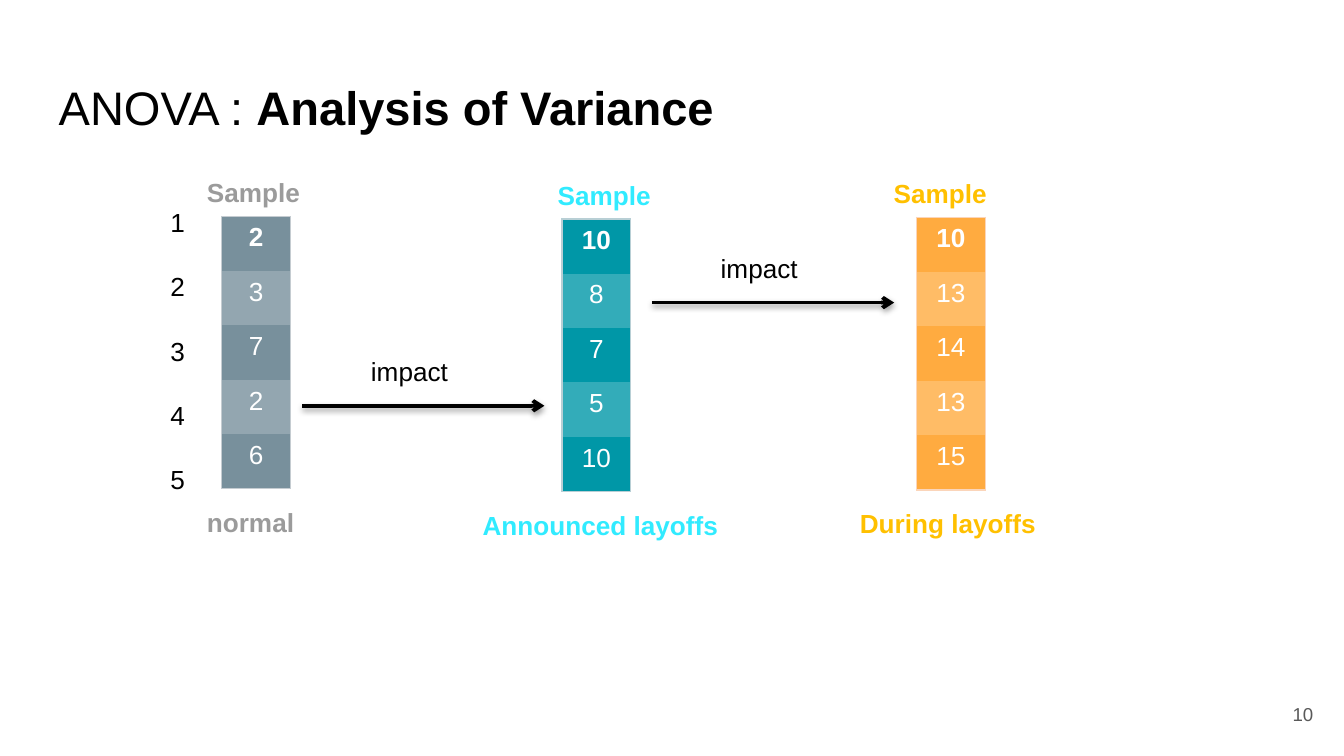
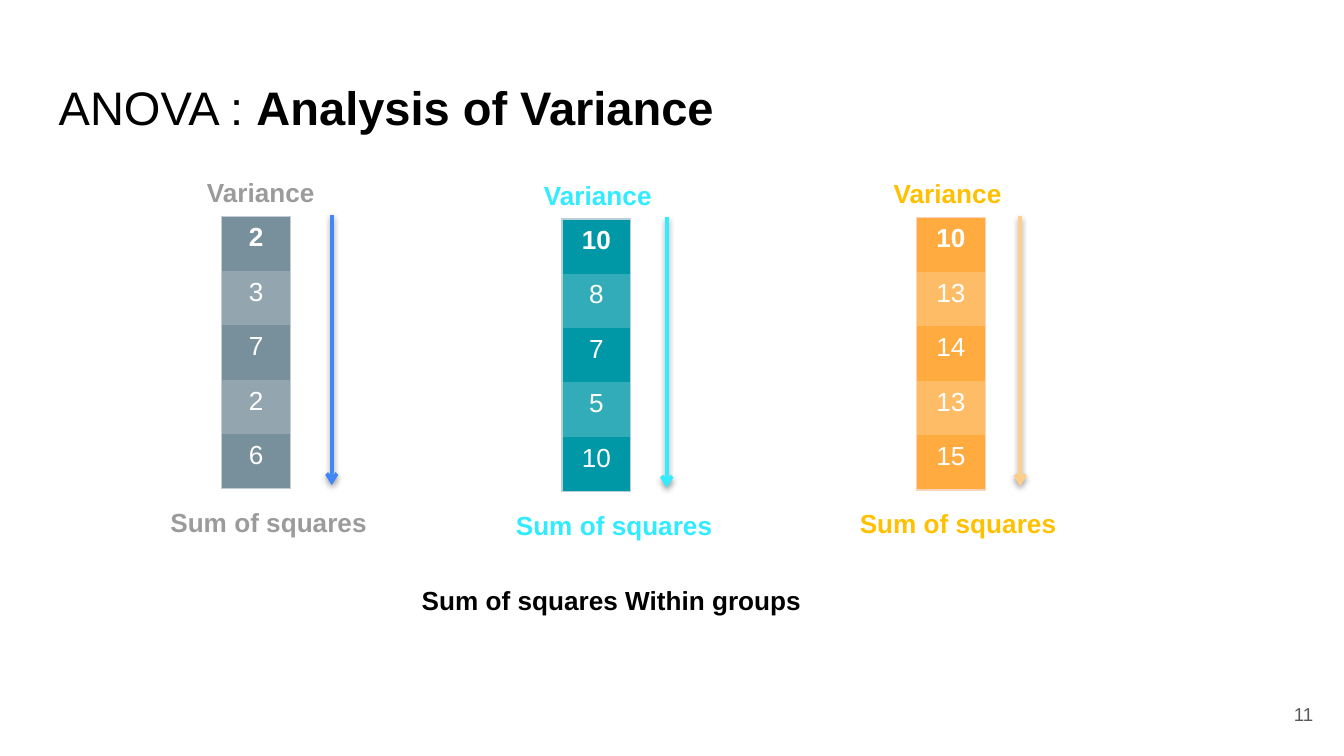
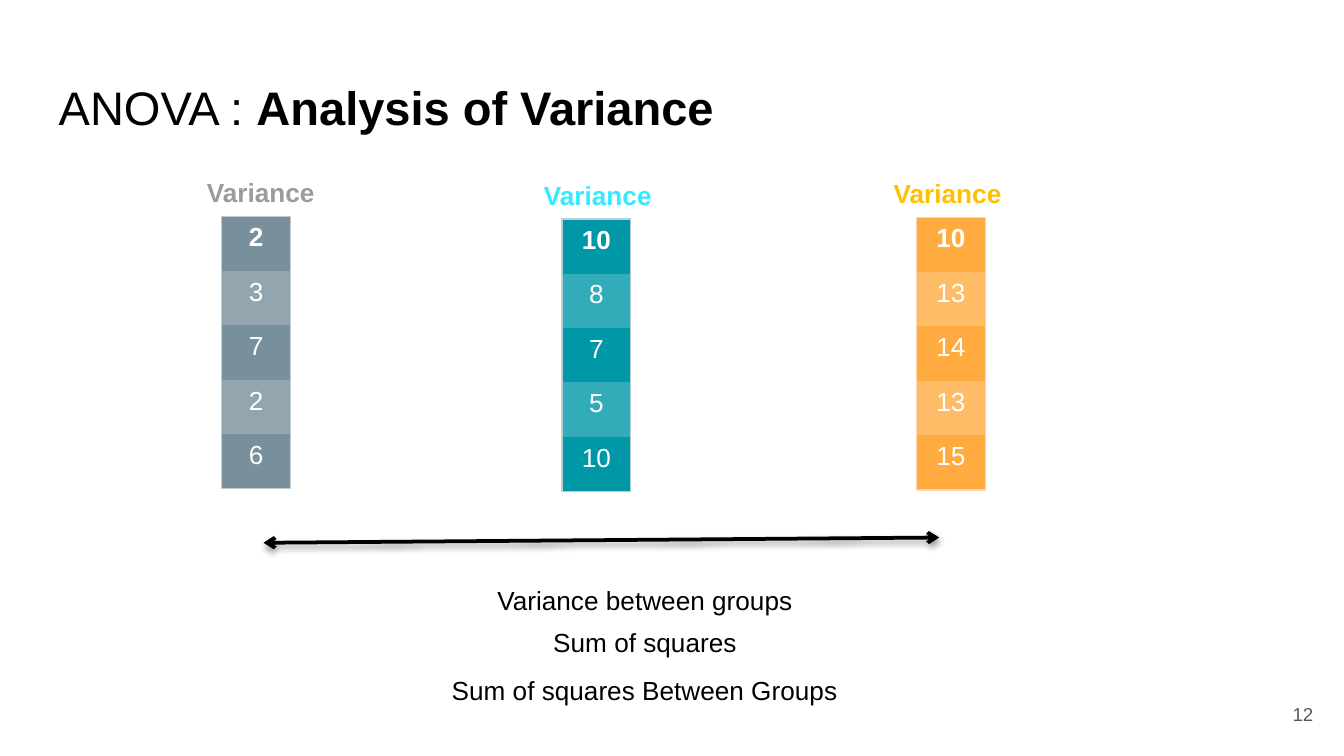
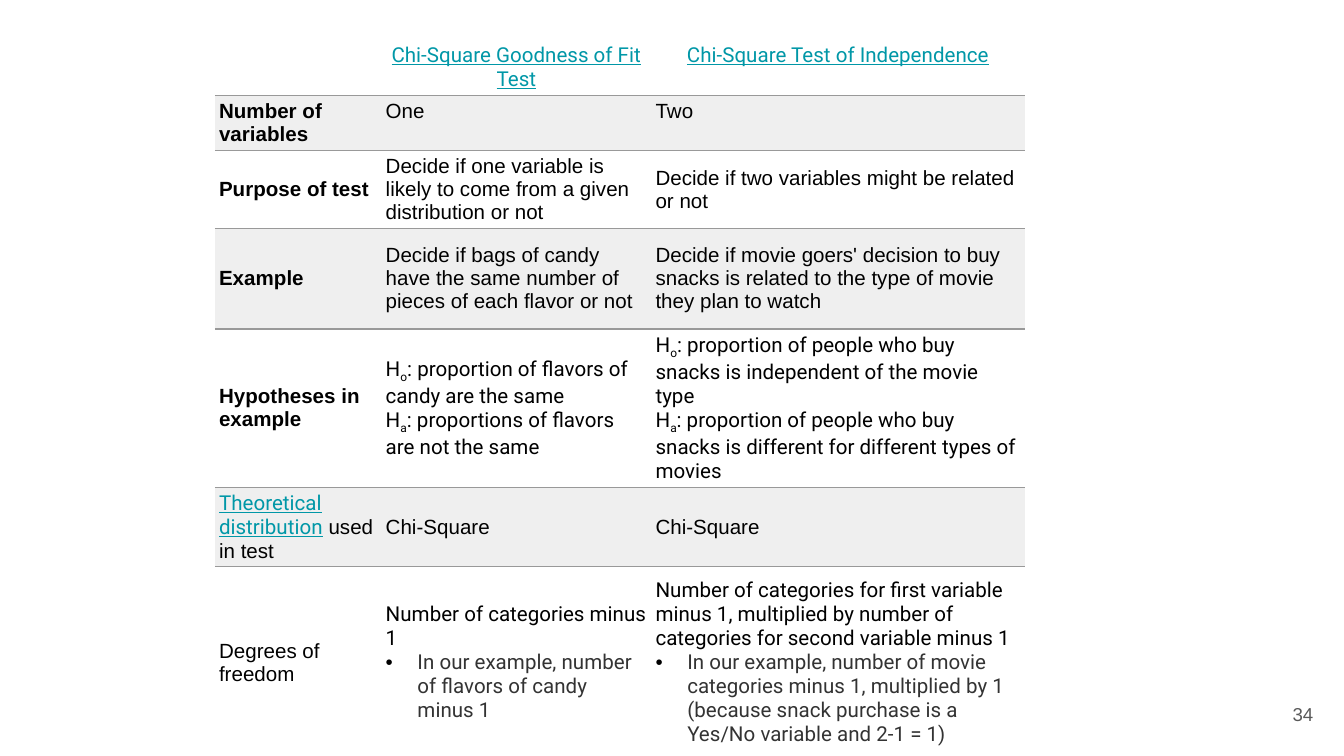
from dataclasses import dataclass

from lxml import etree
from pptx import Presentation
from pptx.dml.color import RGBColor
from pptx.enum.shapes import MSO_CONNECTOR
from pptx.enum.text import MSO_ANCHOR, MSO_AUTO_SIZE, PP_ALIGN
from pptx.oxml.ns import qn
from pptx.util import Cm, Pt

STRAIGHT = MSO_CONNECTOR.STRAIGHT
TOP, MIDDLE = MSO_ANCHOR.TOP, MSO_ANCHOR.MIDDLE
LEFT, CENTER, RIGHT = PP_ALIGN.LEFT, PP_ALIGN.CENTER, PP_ALIGN.RIGHT
GROW, FIXED = MSO_AUTO_SIZE.SHAPE_TO_FIT_TEXT, MSO_AUTO_SIZE.NONE

BLACK = RGBColor(0x00, 0x00, 0x00)
WHITE = RGBColor(0xFF, 0xFF, 0xFF)
NUMBER_GREY = RGBColor(0x59, 0x59, 0x59)
DETAIL_GREY = RGBColor(0x33, 0x33, 0x33)
RULE_GREY = RGBColor(0x99, 0x99, 0x99)
BAND_GREY = RGBColor(0xEF, 0xEF, 0xEF)
LINK_TEAL = RGBColor(0x00, 0x97, 0xA7)
GREY = RGBColor(0x9B, 0x9B, 0x9B)
SLATE = RGBColor(0x78, 0x90, 0x9C)
SLATE_EDGE = RGBColor(0xC5, 0xCC, 0xD1)
BLUE = RGBColor(0x42, 0x85, 0xF4)
CYAN = RGBColor(0x31, 0xEB, 0xFF)
TEAL_EDGE = RGBColor(0xB8, 0xCF, 0xD5)
AMBER = RGBColor(0xFF, 0xC0, 0x00)
ORANGE = RGBColor(0xFF, 0xAB, 0x40)
ORANGE_EDGE = RGBColor(0xFB, 0xD5, 0xBA)
PEACH = RGBColor(0xFF, 0xCD, 0x8C)

PLAIN_TABLE = "{2D5ABB26-0587-4C30-8999-92F81FD0307C}"
BODY = {"name": "Arial", "size": Pt(14), "bold": False}
STRONG = {**BODY, "bold": True}
TITLE = {**BODY, "size": Pt(25.2)}
NUMBER = {**BODY, "size": Pt(10)}
CELL = {**BODY, "size": Pt(11)}
CELL_STRONG = {**CELL, "bold": True}
ROBOTO = {**CELL, "name": "Roboto"}
LINK = {**ROBOTO, "underline": True}

CELL_INSET = Cm(0.08)
ROW_HEIGHT = 1.03
COLUMN_WIDTH = 1.3
CAPTION_RISE = 0.88
CAPTION_DROP = 5.36


@dataclass
class Sample:
    """One group of measurements and its look."""
    left: float
    top: float
    values: tuple
    caption: RGBColor
    fill: RGBColor
    edge: RGBColor
    arrow: RGBColor
    arrow_shift: float


SAMPLES = (
    Sample(4.19, 4.09, (2, 3, 7, 2, 6), GREY, SLATE, SLATE_EDGE, BLUE, 2.08),
    Sample(10.62, 4.14, (10, 8, 7, 5, 10), CYAN, LINK_TEAL, TEAL_EDGE, CYAN, 1.98),
    Sample(17.32, 4.11, (10, 13, 14, 13, 15), AMBER, ORANGE, ORANGE_EDGE, PEACH, 1.96),
)
SAMPLE_SHIFTS = (-0.53, -0.33, -0.68)
VARIANCE_SHIFTS = (-0.53, -0.59, -0.68)


def add_run(paragraph, text, fmt, color=BLACK, baseline=None):
    """Append one formatted run."""
    run = paragraph.add_run()
    run.text = text
    for attribute, value in fmt.items():
        setattr(run.font, attribute, value)
    run.font.color.rgb = color
    if baseline:
        run.font._element.set("baseline", str(baseline))


def add_label(slide, box, runs, align=LEFT, anchor=TOP, inset=None, wrap=True):
    """Place a one-paragraph text box and return its frame."""
    frame = slide.shapes.add_textbox(*map(Cm, box)).text_frame
    settings = {"word_wrap": wrap, "vertical_anchor": anchor,
                "auto_size": FIXED if inset else GROW}
    if inset:
        settings |= {f"margin_{side}": Cm(inset)
                     for side in ("left", "top", "right", "bottom")}
    for attribute, value in settings.items():
        setattr(frame, attribute, value)
    frame.paragraphs[0].alignment = align
    for run in runs:
        add_run(frame.paragraphs[0], *run)
    return frame


def add_arrow(slide, start, end, color=BLACK, both=False):
    """Draw a shadowed arrow between two points."""
    arrow = slide.shapes.add_connector(STRAIGHT, *map(Cm, start + end))
    arrow.line.color.rgb = color
    arrow.line.width = Pt(2)
    stroke = arrow.line._get_or_add_ln()
    for tag in ("a:headEnd", "a:tailEnd")[0 if both else 1:]:
        etree.SubElement(stroke, qn(tag), type="arrow")
    effects = etree.SubElement(arrow._element.spPr, qn("a:effectLst"))
    shadow = etree.SubElement(effects, qn("a:outerShdw"), blurRad="40000",
                              dist="20000", dir="5400000", rotWithShape="0")
    tint = etree.SubElement(shadow, qn("a:srgbClr"), val=str(BLACK))
    etree.SubElement(tint, qn("a:alpha"), val="38000")


def add_plain_table(slide, left, top, widths, heights):
    """Add a table without style and size its grid."""
    table = slide.shapes.add_table(
        len(heights), len(widths), Cm(left), Cm(top),
        Cm(sum(widths)), Cm(sum(heights))).table
    table.first_row = table.horz_banding = False
    table._tbl.tblPr.find(qn("a:tableStyleId")).text = PLAIN_TABLE
    for column, width in zip(table.columns, widths):
        column.width = Cm(width)
    for row, height in zip(table.rows, heights):
        row.height = Cm(height)
    return table


def set_borders(cell, sides, color):
    """Rule the given sides of a cell, in the order L, R, T, B."""
    properties = cell._tc.get_or_add_tcPr()
    for position, side in enumerate(sides):
        rule = etree.Element(qn(f"a:ln{side}"), w=str(Pt(0.75)))
        fill = etree.SubElement(rule, qn("a:solidFill"))
        etree.SubElement(fill, qn("a:srgbClr"), val=str(color))
        properties.insert(position, rule)


def set_fill(cell, color):
    """Fill a cell, or leave it clear when there is no colour."""
    if color is None:
        cell.fill.background()
    else:
        cell.fill.solid()
        cell.fill.fore_color.rgb = color


def lighten(color, share=0.2):
    """Mix a colour with white."""
    return RGBColor(*(round(part + (255 - part) * share) for part in color))


def add_sample(slide, sample, heading, shift):
    """Draw a group's values with the heading above them."""
    count = len(sample.values)
    table = add_plain_table(slide, sample.left, sample.top,
                            [COLUMN_WIDTH], [ROW_HEIGHT] * count)
    for row, value in enumerate(sample.values):
        cell = table.cell(row, 0)
        set_fill(cell, lighten(sample.fill) if row % 2 else sample.fill)
        sides = ["L", "R"] + ["T"] * (row == 0) + ["B"] * (row == count - 1)
        set_borders(cell, sides, sample.edge)
        paragraph = cell.text_frame.paragraphs[0]
        paragraph.alignment = CENTER
        add_run(paragraph, str(value), BODY if row else STRONG, WHITE)
    add_label(slide, (sample.left + shift, sample.top - CAPTION_RISE, 2.62, 0.86),
              [(heading, STRONG, sample.caption)])


def add_footings(slide, footings):
    """Write a caption under each group."""
    for sample, (text, shift, width) in zip(SAMPLES, footings):
        add_label(slide, (sample.left + shift, sample.top + CAPTION_DROP, width, 0.86),
                  [(text, STRONG, sample.caption)])


def add_page(deck, number):
    """Add a slide with its page number."""
    slide = deck.slides.add_slide(deck.slide_layouts[6])
    add_label(slide, (23.55, 12.95, 1.52, 1.09), [(str(number), NUMBER, NUMBER_GREY)],
              RIGHT, MIDDLE, 0.25)
    return slide


def add_anova_page(deck, number, heading, shifts):
    """Add a slide with the title and the three groups."""
    slide = add_page(deck, number)
    add_label(slide, (0.86, 1.24, 23.67, 1.6),
              [("ANOVA : ", TITLE), ("Analysis of Variance", {**TITLE, "bold": True})],
              inset=0.25)
    for sample, shift in zip(SAMPLES, shifts):
        add_sample(slide, sample, heading, shift)
    return slide


def add_row_numbers(slide, left, top):
    """Number the rows of the first group."""
    frame = add_label(slide, (left, top, 0.69, 5.64), [("1", BODY)])
    for number in range(2, 6):
        paragraph = frame.add_paragraph()
        paragraph.space_before = Pt(17.6)
        add_run(paragraph, str(number), BODY)


def add_impact(slide, left, top, length):
    """Draw an impact arrow with its label above."""
    add_arrow(slide, (left, top), (left + length, top))
    add_label(slide, (left + 0.52, top - 1.07, 3.02, 0.86), [("impact", BODY)], CENTER)


def build_impact(deck):
    """Show how the samples follow one another."""
    slide = add_anova_page(deck, 10, "Sample", SAMPLE_SHIFTS)
    add_footings(slide, (("normal", -0.53, 2.62), ("Announced layoffs", -1.75, 5.84),
                         ("During layoffs", -1.32, 3.95)))
    add_row_numbers(slide, 2.97, 3.78)
    add_impact(slide, 5.71, 7.67, 4.58)
    add_impact(slide, 12.32, 5.72, 4.58)


def build_within(deck):
    """Show the variance inside each group."""
    slide = add_anova_page(deck, 11, "Variance", VARIANCE_SHIFTS)
    add_footings(slide, [("Sum of squares", shift, width) for shift, width in
                         ((-1.22, 4.37), (-1.12, 4.3), (-1.32, 4.7))])
    for sample in SAMPLES:
        x, y = sample.left + sample.arrow_shift, sample.top - 0.03
        add_arrow(slide, (x, y), (x, y + 5.11), sample.arrow)
    add_label(slide, (7.72, 10.92, 8.94, 0.86), [("Sum of squares Within groups", STRONG)])


def build_between(deck):
    """Show the variance across the groups."""
    slide = add_anova_page(deck, 12, "Variance", VARIANCE_SHIFTS)
    add_arrow(slide, (4.98, 10.26), (17.75, 10.16), both=True)
    for text, box, wrap in (
            ("Variance between groups", (7.72, 10.92, 8.94, 0.86), True),
            ("Sum of squares", (7.72, 11.71, 8.94, 0.86), True),
            ("Sum of squares Between Groups", (8.26, 12.62, 7.85, 0.86), False)):
        add_label(slide, box, [(text, BODY)], CENTER, wrap=wrap)


def hypothesis(index, text):
    """Return the runs of a hypothesis with its subscript."""
    return [("H", ROBOTO), (index, ROBOTO, BLACK, -25000), (": " + text, ROBOTO)]


def plain(text, fmt=CELL, color=BLACK):
    """Return a cell of one paragraph with one run."""
    return [[(text, fmt, color)]]


def degrees(rule, example):
    """Return a rule followed by its example."""
    return [[(rule, ROBOTO)], [(example, ROBOTO, DETAIL_GREY)]]


COMPARISON = (
    ([], plain("Chi-Square Goodness of Fit Test", LINK, LINK_TEAL),
     plain("Chi-Square Test of Independence", LINK, LINK_TEAL)),
    (plain("Number of variables", CELL_STRONG), plain("One"), plain("Two")),
    (plain("Purpose of test", CELL_STRONG),
     plain("Decide if one variable is likely to come from a given distribution or not"),
     plain("Decide if two variables might be related or not")),
    (plain("Example", CELL_STRONG),
     plain("Decide if bags of candy have the same number of pieces of each flavor or not"),
     plain("Decide if movie goers' decision to buy snacks is related to the type of movie "
           "they plan to watch")),
    (plain("Hypotheses in example", CELL_STRONG),
     [hypothesis("o", "proportion of flavors of candy are the same"),
      hypothesis("a", "proportions of flavors are not the same")],
     [hypothesis("o", "proportion of people who buy snacks is independent of the movie type"),
      hypothesis("a", "proportion of people who buy snacks is different for different "
                      "types of movies")]),
    ([[("Theoretical distribution", LINK, LINK_TEAL), (" used in test", CELL)]],
     plain("Chi-Square"), plain("Chi-Square")),
    (plain("Degrees of freedom"),
     degrees("Number of categories minus 1",
             "In our example, number of flavors of candy minus 1"),
     degrees("Number of categories for first variable minus 1, multiplied by number of "
             "categories for second variable minus 1",
             "In our example, number of movie categories minus 1, multiplied by 1 "
             "(because snack purchase is a Yes/No variable and 2-1 = 1)")),
)


def add_bullet(paragraph):
    """Give a paragraph a hanging black bullet."""
    properties = paragraph._p.get_or_add_pPr()
    properties.set("marL", str(Cm(0.6)))
    properties.set("indent", str(-Cm(0.6)))
    color = etree.SubElement(properties, qn("a:buClr"))
    etree.SubElement(color, qn("a:srgbClr"), val=str(BLACK))
    etree.SubElement(properties, qn("a:buFont"), typeface="Arial")
    etree.SubElement(properties, qn("a:buChar"), char="•")


def fill_comparison_cell(cell, paragraphs, row):
    """Write a cell of the comparison with its band and rule."""
    for side in ("left", "top", "right", "bottom"):
        setattr(cell, f"margin_{side}", CELL_INSET)
    cell.vertical_anchor = MIDDLE if row > 1 else TOP
    set_fill(cell, BAND_GREY if row % 2 else None)
    set_borders(cell, ["B"], RULE_GREY)
    frame = cell.text_frame
    for index, runs in enumerate(paragraphs):
        paragraph = frame.add_paragraph() if index else frame.paragraphs[0]
        paragraph.alignment = LEFT if row else CENTER
        if index and row == len(COMPARISON) - 1:
            add_bullet(paragraph)
        for run in runs:
            add_run(paragraph, *run)


def build_comparison(deck):
    """Compare the two chi-square tests."""
    slide = add_page(deck, 34)
    table = add_plain_table(slide, 4.06, 0.74, (3.15, 5.1, 7.06),
                            (0.84, 1.04, 1.47, 1.9, 2.34, 1.47, 3.63))
    for row, cells in enumerate(COMPARISON):
        for column, paragraphs in enumerate(cells):
            fill_comparison_cell(table.cell(row, column), paragraphs, row)


def main():
    """Build the deck."""
    deck = Presentation()
    deck.slide_width, deck.slide_height = Cm(25.4), Cm(14.29)
    for build in (build_impact, build_within, build_between, build_comparison):
        build(deck)
    deck.save("out.pptx")


if __name__ == "__main__":
    main()
